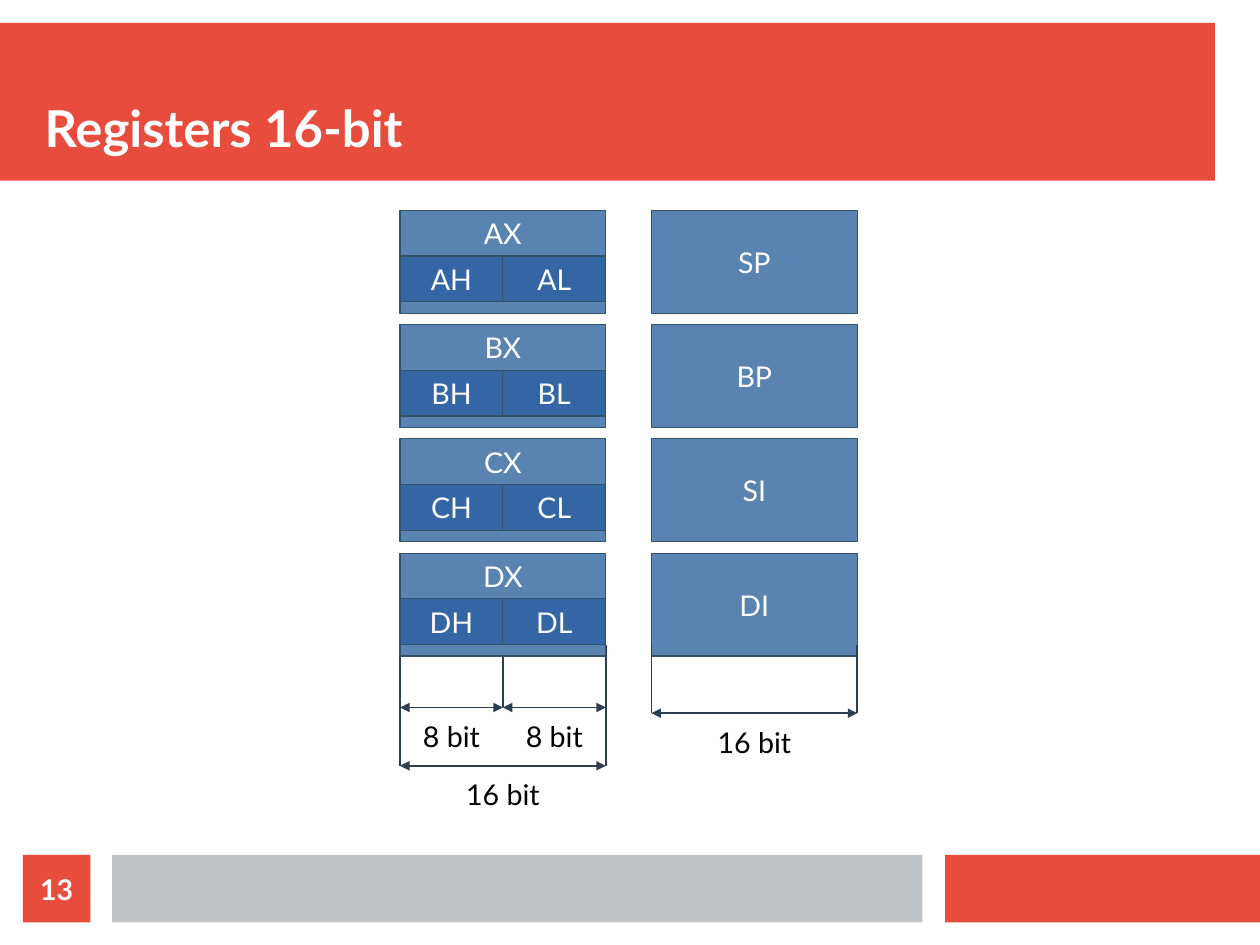
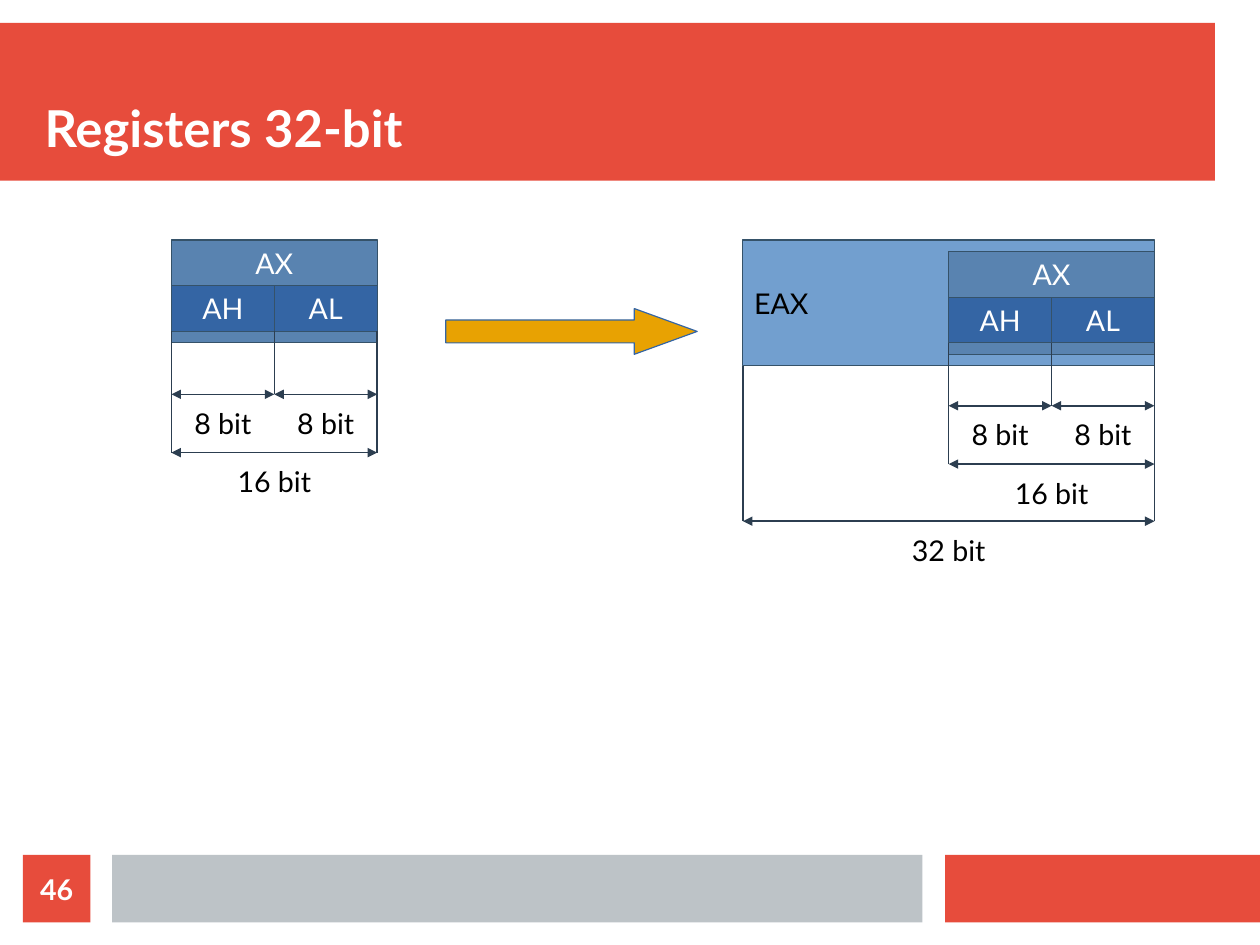
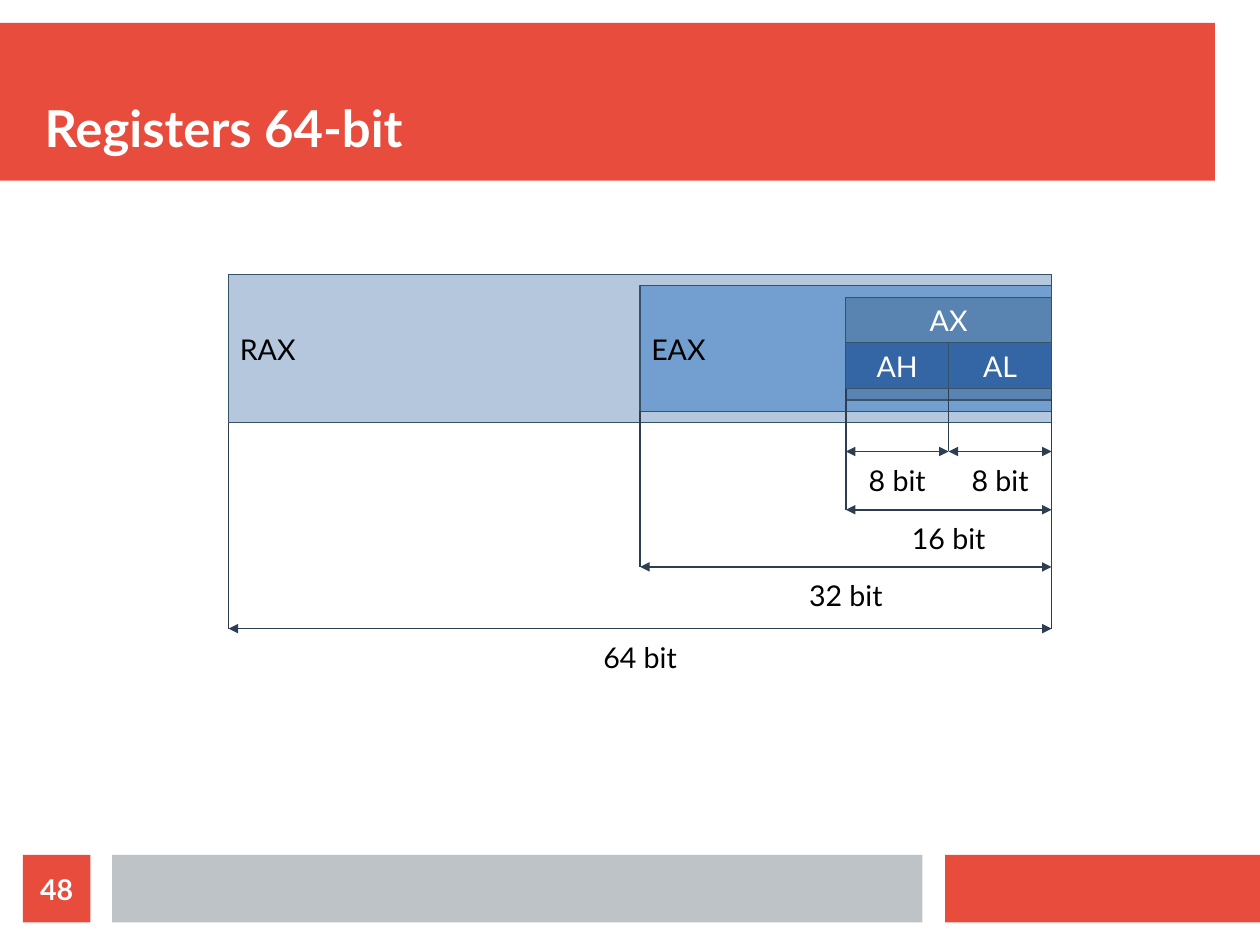
from lxml import etree
from pptx import Presentation
from pptx.dml.color import RGBColor
from pptx.enum.shapes import MSO_CONNECTOR as CONNECTOR, MSO_SHAPE as SHAPE
from pptx.enum.text import MSO_ANCHOR as ANCHOR, PP_ALIGN as ALIGN
from pptx.oxml.ns import qn
from pptx.util import Cm, Pt

PX = 9144
SLIDE_WIDTH, SLIDE_HEIGHT = Cm(28), Cm(21)
FONT = "Lato"

RED = RGBColor(0xE7, 0x4C, 0x3C)
GREY = RGBColor(0xBD, 0xC3, 0xC7)
WHITE = RGBColor(0xFF, 0xFF, 0xFF)
BLACK = RGBColor(0x00, 0x00, 0x00)
NAVY = RGBColor(0x2C, 0x3E, 0x50)
OUTLINE = RGBColor(0x35, 0x52, 0x69)
BYTE_BLUE = RGBColor(0x34, 0x65, 0xA4)
WORD_BLUE = RGBColor(0x59, 0x83, 0xB0)
DOUBLE_BLUE = RGBColor(0x72, 0x9F, 0xCF)
QUAD_BLUE = RGBColor(0xB4, 0xC7, 0xDC)
AMBER = RGBColor(0xE8, 0xA2, 0x02)

BYTE_WIDTH, BYTE_HEIGHT = 90, 40
WORD_WIDTH, WORD_HEIGHT = 2 * BYTE_WIDTH, 90
NEST_STEP = 10
ROW_PITCH = 100
SCALE_START = WORD_HEIGHT - 10
BYTE_SCALE, WORD_SCALE = 135, 186
OUTER_REGISTERS = [
    ("EAX", "32 bit", DOUBLE_BLUE, 236),
    ("RAX", "64 bit", QUAD_BLUE, 290),
]


def to_emu(box):
    """Turn a box in px into EMU lengths."""
    return [length * PX for length in box]


def write(shape, text, color, size=18, bold=False, align=ALIGN.CENTER,
          anchor=ANCHOR.MIDDLE, margins=True):
    """Fill a shape with one formatted line of text."""
    frame = shape.text_frame
    frame.text = text
    frame.word_wrap = True
    frame.vertical_anchor = anchor
    if not margins:
        frame.margin_left = frame.margin_right = 0
        frame.margin_top = frame.margin_bottom = 0
    paragraph = frame.paragraphs[0]
    paragraph.alignment = align
    font = paragraph.runs[0].font
    font.name, font.size, font.bold = FONT, Pt(size), bold
    font.color.rgb = color


def add_block(slide, box, fill, outline=None, kind=SHAPE.RECTANGLE):
    """Add a flat shape, with a hairline where an outline is given."""
    shape = slide.shapes.add_shape(kind, *to_emu(box))
    shape.shadow.inherit = False
    shape.fill.solid()
    shape.fill.fore_color.rgb = fill
    if outline is None:
        shape.line.fill.background()
    else:
        shape.line.color.rgb = outline
        shape.line.width = 0
    return shape


def add_register(slide, box, name, fill, color=WHITE, **style):
    """Add one named register box."""
    write(add_block(slide, box, fill, OUTLINE), name, color, **style)


def add_line(slide, start, end, arrows=False):
    """Add a thin line, with arrowheads at both ends on request."""
    line = slide.shapes.add_connector(CONNECTOR.STRAIGHT, *to_emu(start + end))
    line.line.color.rgb = NAVY
    line.line.width = Pt(1)
    properties = line._element.spPr
    if arrows:
        for tag in ("a:headEnd", "a:tailEnd"):
            etree.SubElement(properties.find(qn("a:ln")), qn(tag), type="triangle")
    etree.SubElement(properties, qn("a:effectLst"))


def add_dimension(slide, left, top, width, label):
    """Add a double arrow with its label centred below."""
    add_line(slide, (left, top), (left + width, top), arrows=True)
    caption = slide.shapes.add_textbox(*to_emu((left, top + 10, width, 30)))
    write(caption, label, BLACK)


def add_word_scale(slide, left, top, right_depth=WORD_SCALE):
    """Add the 8 and 16 bit dimensions of the word register at left, top."""
    for column, depth in enumerate((WORD_SCALE, BYTE_SCALE, right_depth)):
        edge = left + column * BYTE_WIDTH
        add_line(slide, (edge, top + SCALE_START), (edge, top + depth))
    for column in range(2):
        add_dimension(slide, left + column * BYTE_WIDTH, top + BYTE_SCALE,
                      BYTE_WIDTH, "8 bit")
    add_dimension(slide, left, top + WORD_SCALE, WORD_WIDTH, "16 bit")


def add_word_register(slide, left, top, letter):
    """Add a word register with its high and low byte."""
    add_register(slide, (left, top, WORD_WIDTH, WORD_HEIGHT), letter + "X",
                 WORD_BLUE, anchor=ANCHOR.TOP)
    for column, half in enumerate("HL"):
        box = (left + column * BYTE_WIDTH, top + BYTE_HEIGHT, BYTE_WIDTH, BYTE_HEIGHT)
        add_register(slide, box, letter + half, BYTE_BLUE)


def add_nested_register(slide, left, top, depth=0):
    """Add register AX inside the given number of wider registers, with scales."""
    right = left + WORD_WIDTH * 2 ** depth
    word_left, word_top = right - WORD_WIDTH, top + NEST_STEP * depth
    outer = []
    for level, (name, label, fill, offset) in enumerate(OUTER_REGISTERS[:depth], 1):
        width = WORD_WIDTH * 2 ** level
        box = (right - width, word_top - NEST_STEP * level,
               width, WORD_HEIGHT + 2 * NEST_STEP * level)
        outer.append((box, name, label, fill, offset))
    for box, name, label, fill, offset in reversed(outer):
        add_register(slide, box, name, fill, BLACK, align=ALIGN.LEFT)
    add_word_register(slide, word_left, word_top, "A")
    right_depth = outer[-1][-1] if outer else WORD_SCALE
    add_word_scale(slide, word_left, word_top, right_depth)
    for (edge, box_top, width, height), name, label, fill, offset in outer:
        add_line(slide, (edge, box_top + height), (edge, word_top + offset))
        add_dimension(slide, edge, word_top + offset, width, label)


def add_pointer_column(slide, left, top, names):
    """Add the stacked undivided registers and their 16 bit dimension."""
    for row, name in enumerate(names):
        box = (left, top + row * ROW_PITCH, WORD_WIDTH, WORD_HEIGHT)
        add_register(slide, box, name, WORD_BLUE)
    last_top = top + (len(names) - 1) * ROW_PITCH
    for edge in (left, left + WORD_WIDTH):
        add_line(slide, (edge, last_top + SCALE_START), (edge, last_top + 140))
    add_dimension(slide, left, last_top + 140, WORD_WIDTH, "16 bit")


def add_general_column(slide, left, top, letters):
    """Add the stacked divided registers over their scale."""
    add_word_scale(slide, left, top + (len(letters) - 1) * ROW_PITCH)
    for row, letter in enumerate(letters):
        add_word_register(slide, left, top + row * ROW_PITCH, letter)


def add_base_slide(presentation, title, number):
    """Add a slide with the title band, the footer bands and the number."""
    slide = presentation.slides.add_slide(presentation.slide_layouts[6])
    add_block(slide, (0, 20, 1063, 138), RED)
    add_block(slide, (827, 748, 276, 59), RED)
    add_block(slide, (98, 748, 709, 59), GREY)
    heading = slide.shapes.add_textbox(*to_emu((39, 39, 1024, 99)))
    write(heading, title, WHITE, 32, True, ALIGN.LEFT, ANCHOR.BOTTOM, margins=False)
    badge = add_block(slide, (20, 748, 59, 59), RED)
    write(badge, number, WHITE, bold=True, margins=False)
    return slide


def main():
    """Build the three register slides."""
    presentation = Presentation()
    presentation.slide_width = SLIDE_WIDTH
    presentation.slide_height = SLIDE_HEIGHT

    slide = add_base_slide(presentation, "Registers 16-bit", "13")
    add_general_column(slide, 350, 184, "ABCD")
    add_pointer_column(slide, 570, 184, ["SP", "BP", "SI", "DI"])

    slide = add_base_slide(presentation, "Registers 32-bit", "46")
    add_nested_register(slide, 150, 210)
    arrow = add_block(slide, (390, 270, 220, 40), AMBER, BYTE_BLUE, SHAPE.RIGHT_ARROW)
    arrow.adjustments[0], arrow.adjustments[1] = 0.5, 1.375
    add_nested_register(slide, 650, 210, depth=1)

    slide = add_base_slide(presentation, "Registers 64-bit", "48")
    add_nested_register(slide, 200, 240, depth=2)

    presentation.save("out.pptx")


if __name__ == "__main__":
    main()
